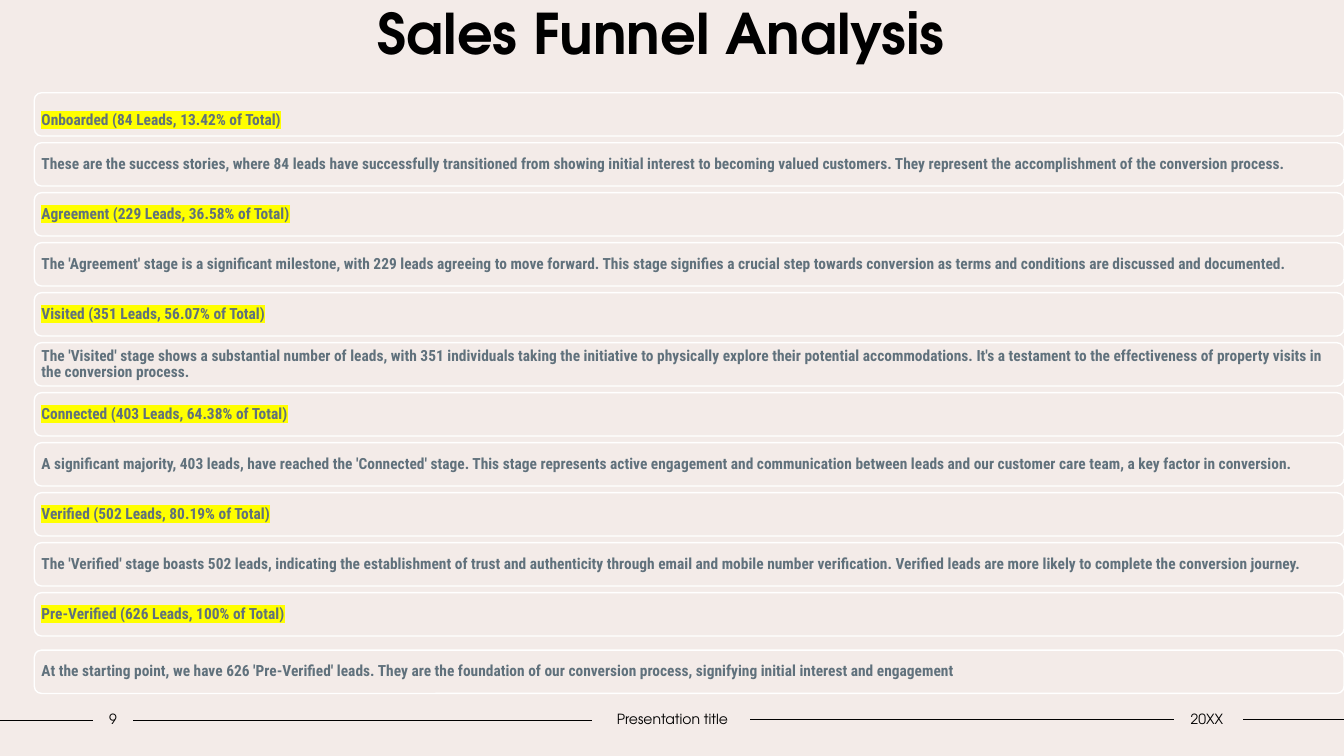
"""Build the sales funnel analysis slide."""
from lxml.etree import SubElement
from pptx import Presentation
from pptx.dml.color import RGBColor
from pptx.enum.shapes import MSO_CONNECTOR, MSO_SHAPE
from pptx.enum.text import MSO_ANCHOR, MSO_AUTO_SIZE, PP_ALIGN
from pptx.oxml import parse_xml
from pptx.oxml.ns import nsdecls, qn
from pptx.util import Inches, Pt

TITLE = "Sales Funnel Analysis"
STAGES = [
    ("Onboarded (84 Leads, 13.42% of Total)",
     "These are the success stories, where 84 leads have successfully transitioned from showing initial interest "
     "to becoming valued customers. They represent the accomplishment of the conversion process."),
    ("Agreement (229 Leads, 36.58% of Total)",
     "The 'Agreement' stage is a significant milestone, with 229 leads agreeing to move forward. This stage "
     "signifies a crucial step towards conversion as terms and conditions are discussed and documented."),
    ("Visited (351 Leads, 56.07% of Total)",
     "The 'Visited' stage shows a substantial number of leads, with 351 individuals taking the initiative to "
     "physically explore their potential accommodations. It's a testament to the effectiveness of property "
     "visits in the conversion process."),
    ("Connected (403 Leads, 64.38% of Total)",
     "A significant majority, 403 leads, have reached the 'Connected' stage. This stage represents active "
     "engagement and communication between leads and our customer care team, a key factor in conversion."),
    ("Verified (502 Leads, 80.19% of Total)",
     "The 'Verified' stage boasts 502 leads, indicating the establishment of trust and authenticity through "
     "email and mobile number verification. Verified leads are more likely to complete the conversion journey."),
    ("Pre-Verified (626 Leads, 100% of Total)",
     "At the starting point, we have 626 'Pre-Verified' leads. They are the foundation of our conversion "
     "process, signifying initial interest and engagement"),
]
FOOTER_TEXTS = [("9", 0.92, 0.4), ("Presentation title", 5.87, 1.6), ("20XX", 11.62, 0.7)]
FOOTER_LINES = [(0, 0.92, 7.15), (1.32, 5.87, 7.15), (7.44, 11.64, 7.14), (12.33, 13.33, 7.14)]

BACKGROUND, BLACK, WHITE = "F3EBE8", "000000", "FFFFFF"
BODY_COLOR, HIGHLIGHT = "60717C", "FFFF00"
HEADING_FONT, BODY_FONT = "TeX Gyre Adventor", "Roboto Condensed"
FIRST_TOP, ELEVENTH_TOP, LAST_TOP = 0.92, 5.88, 6.45
ROW_STEP = (ELEVENTH_TOP - FIRST_TOP) / 10


def color(value):
    return RGBColor.from_string(value)


def write(shape, text, font, size, ink, bold=False, align=PP_ALIGN.LEFT,
          anchor=MSO_ANCHOR.MIDDLE, spacing=1.0, side=0.0):
    frame = shape.text_frame
    frame.text = text
    frame.word_wrap = True
    frame.auto_size = MSO_AUTO_SIZE.NONE
    frame.vertical_anchor = anchor
    frame.margin_left = frame.margin_right = Inches(side)
    frame.margin_top = frame.margin_bottom = Inches(0.05)
    para = frame.paragraphs[0]
    para.alignment = align
    para.line_spacing = spacing
    span = para.runs[0]
    span.font.name, span.font.size, span.font.bold = font, Pt(size), bold
    span.font.color.rgb = color(ink)
    return span


def highlight(span):
    mark = parse_xml(f'<a:highlight {nsdecls("a")}><a:srgbClr val="{HIGHLIGHT}"/></a:highlight>')
    span.font._element.find(qn("a:solidFill")).addnext(mark)


def add_row(slide, text, top, spacing):
    box = slide.shapes.add_shape(MSO_SHAPE.ROUNDED_RECTANGLE, Inches(0.34), Inches(top),
                                 Inches(12.99), Inches(0.43))
    box.shadow.inherit = False
    box.fill.solid()
    box.fill.fore_color.rgb = color(BACKGROUND)
    box.line.color.rgb = color(WHITE)
    box.line.width = Pt(1)
    return write(box, text, BODY_FONT, 11, BODY_COLOR, bold=True, spacing=spacing, side=0.05)


def add_footer(slide):
    for start, end, height in FOOTER_LINES:
        rule = slide.shapes.add_connector(MSO_CONNECTOR.STRAIGHT, Inches(start), Inches(height),
                                          Inches(end), Inches(height))
        rule.line.color.rgb = color(BLACK)
        rule.line.width = Pt(1)
        SubElement(rule._element.spPr, qn("a:effectLst"))
    for text, left, width in FOOTER_TEXTS:
        label = slide.shapes.add_textbox(Inches(left), Inches(7), Inches(width), Inches(0.27))
        write(label, text, HEADING_FONT, 10, BLACK, align=PP_ALIGN.CENTER)


def main():
    deck = Presentation()
    deck.slide_width, deck.slide_height = Inches(13.33), Inches(7.5)
    slide = deck.slides.add_slide(deck.slide_layouts[5])
    slide.background.fill.solid()
    slide.background.fill.fore_color.rgb = color(BACKGROUND)

    title = slide.shapes.title
    title.left, title.top, title.width, title.height = map(Inches, (1.17, 0.01, 10.77, 0.74))
    write(title, TITLE, HEADING_FONT, 40, BLACK, bold=True, align=PP_ALIGN.CENTER,
          anchor=MSO_ANCHOR.TOP, spacing=0.9, side=0.1)

    add_footer(slide)
    tops = [FIRST_TOP + index * ROW_STEP for index in range(11)] + [LAST_TOP]
    for index, (heading, description) in enumerate(STAGES):
        highlight(add_row(slide, heading, tops[2 * index], 0.9 if index else 1.5))
        add_row(slide, description, tops[2 * index + 1], 0.9)

    deck.save("out.pptx")


if __name__ == "__main__":
    main()
